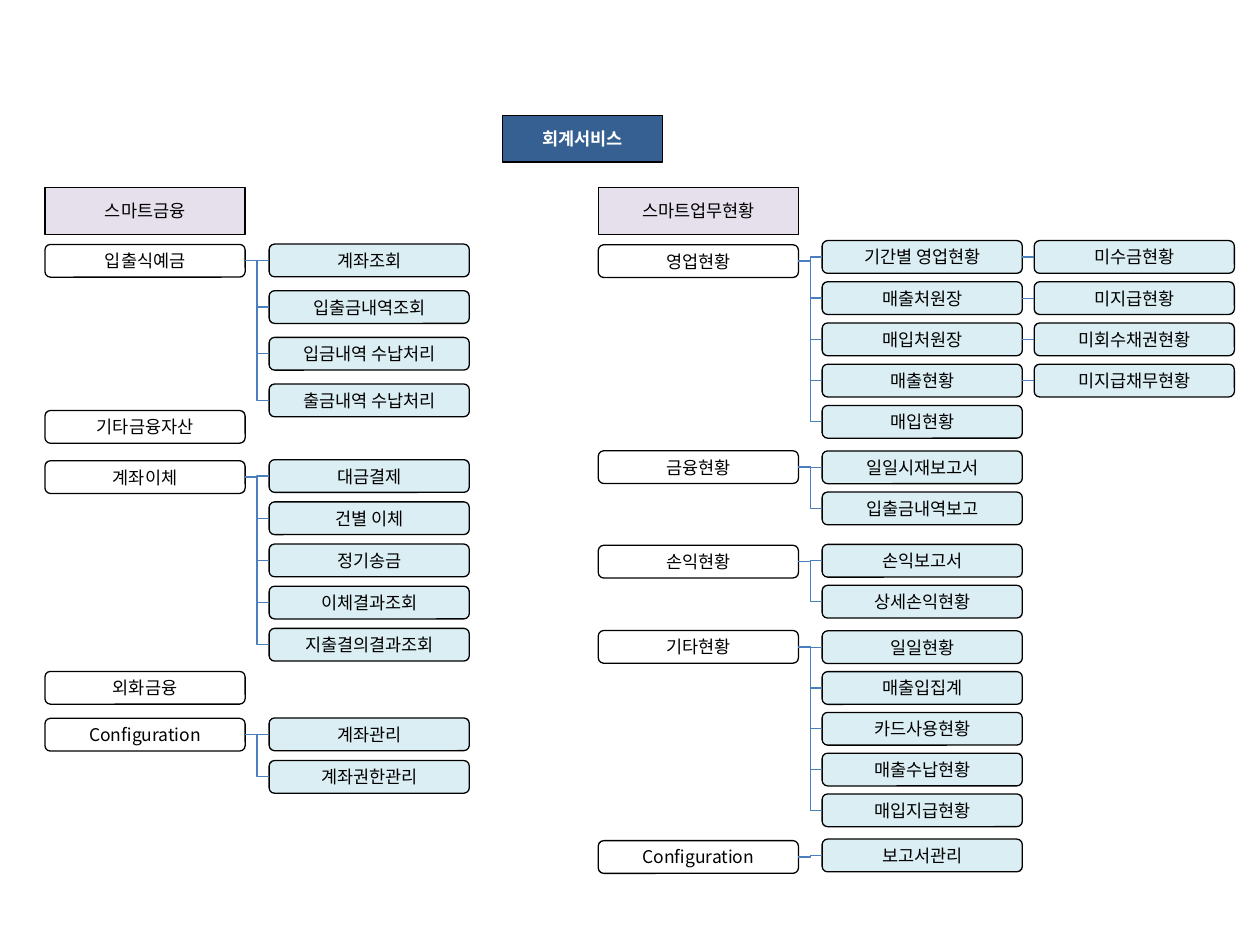
from lxml import etree
from pptx import Presentation
from pptx.dml.color import RGBColor
from pptx.enum.shapes import MSO_CONNECTOR, MSO_SHAPE
from pptx.enum.text import MSO_ANCHOR, PP_ALIGN
from pptx.oxml.ns import qn
from pptx.util import Pt

RECT = MSO_SHAPE.RECTANGLE
ROUNDED = MSO_SHAPE.ROUNDED_RECTANGLE
ELBOW = MSO_CONNECTOR.ELBOW
STRAIGHT = MSO_CONNECTOR.STRAIGHT
MIDDLE = MSO_ANCHOR.MIDDLE
CENTER = PP_ALIGN.CENTER
LEFT_SIDE, RIGHT_SIDE = 1, 3

FONT = "Noto Sans CJK KR"
COLORS = {
    "title": "376092",
    "header": "E6E0EC",
    "item": "DBEEF4",
    "outline": "000000",
    "link": "4B7EBC",
    "text": "000000",
    "title_text": "FFFFFF",
}
BOX_WIDTH, ITEM_HEIGHT, HEADER_HEIGHT = 114.4, 18.7, 26.7
HEADER_TOP = 107.2

# Each group: name, top, top of first item, item pitch, items
FINANCE = [
    ("입출식예금", 139.7, 139.5, 26.65,
     ["계좌조회", "입출금내역조회", "입금내역 수납처리", "출금내역 수납처리"]),
    ("기타금융자산", 234.6, 0, 0, []),
    ("계좌이체", 263.3, 262.7, 24.1,
     ["대금결제", "건별 이체", "정기송금", "이체결과조회", "지출결의결과조회"]),
    ("외화금융", 383.7, 0, 0, []),
    ("Configuration", 410.5, 410.3, 24.3, ["계좌관리", "계좌권한관리"]),
]
BUSINESS = [
    ("영업현황", 139.9, 137.5, 23.55,
     ["기간별 영업현황", "매출처원장", "매입처원장", "매출현황", "매입현황"]),
    ("금융현황", 257.6, 257.7, 23.5, ["일일시재보고서", "입출금내역보고"]),
    ("손익현황", 311.6, 311.1, 23.4, ["손익보고서", "상세손익현황"]),
    ("기타현황", 360.3, 360.5, 23.3,
     ["일일현황", "매출입집계", "카드사용현황", "매출수납현황", "매입지급현황"]),
    ("Configuration", 480.4, 479.5, 0, ["보고서관리"]),
]
BALANCES = ["미수금현황", "미지급현황", "미회수채권현황", "미지급채무현황"]
BRANCHES = [
    ("스마트금융", 25.7, 153.8, FINANCE),
    ("스마트업무현황", 341.9, 469.8, BUSINESS),
]
BALANCE_LEFT = 591


def rgb(name):
    return RGBColor.from_string(COLORS[name])


def add_box(page, text, left, top, kind=ROUNDED, width=BOX_WIDTH,
            height=ITEM_HEIGHT, fill=None, color="text", bold=False):
    box = page.shapes.add_shape(kind, Pt(left), Pt(top), Pt(width), Pt(height))
    box.shadow.inherit = False
    if fill:
        box.fill.solid()
        box.fill.fore_color.rgb = rgb(fill)
    else:
        box.fill.background()
    box.line.color.rgb = rgb("outline")
    box.line.width = Pt(0.75)
    frame = box.text_frame
    frame.word_wrap = True
    frame.vertical_anchor = MIDDLE
    frame.margin_top = frame.margin_bottom = 0
    para = frame.paragraphs[0]
    para.alignment = CENTER
    span = para.add_run()
    span.text = text
    span.font.size = Pt(10)
    span.font.bold = bold
    span.font.color.rgb = rgb(color)
    span.font.name = FONT
    properties = span.font._element
    etree.SubElement(properties, qn("a:ea")).set("typeface", FONT)
    return box


def add_link(page, start, end, kind=ELBOW):
    link = page.shapes.add_connector(kind, 0, 0, 0, 0)
    link.begin_connect(start, RIGHT_SIDE)
    link.end_connect(end, LEFT_SIDE)
    link.line.color.rgb = rgb("link")
    link.line.width = Pt(0.75)
    etree.SubElement(link._element.spPr, qn("a:effectLst"))


def add_items(page, names, left, top, pitch):
    return [add_box(page, name, left, top + row * pitch, fill="item")
            for row, name in enumerate(names)]


def add_group(page, left, item_left, group):
    name, top, item_top, pitch, names = group
    parent = add_box(page, name, left, top)
    items = add_items(page, names, item_left, item_top, pitch)
    for item in items:
        add_link(page, parent, item)
    return items


def add_branch(page, name, left, item_left, groups):
    add_box(page, name, left, HEADER_TOP, RECT, height=HEADER_HEIGHT, fill="header")
    return [add_group(page, left, item_left, group) for group in groups]


def add_balances(page, sales_items):
    _, _, top, pitch, _ = BUSINESS[0]
    balances = add_items(page, BALANCES, BALANCE_LEFT, top, pitch)
    for item, balance in zip(sales_items, balances):
        add_link(page, item, balance, STRAIGHT)


def main():
    deck = Presentation()
    deck.slide_width, deck.slide_height = Pt(720), Pt(540)
    page = deck.slides.add_slide(deck.slide_layouts[6])
    add_box(page, "회계서비스", 287, 66, RECT, 91.5, HEADER_HEIGHT,
            "title", "title_text", True)
    _, business = [add_branch(page, *branch) for branch in BRANCHES]
    add_balances(page, business[0])
    deck.save("out.pptx")


if __name__ == "__main__":
    main()
